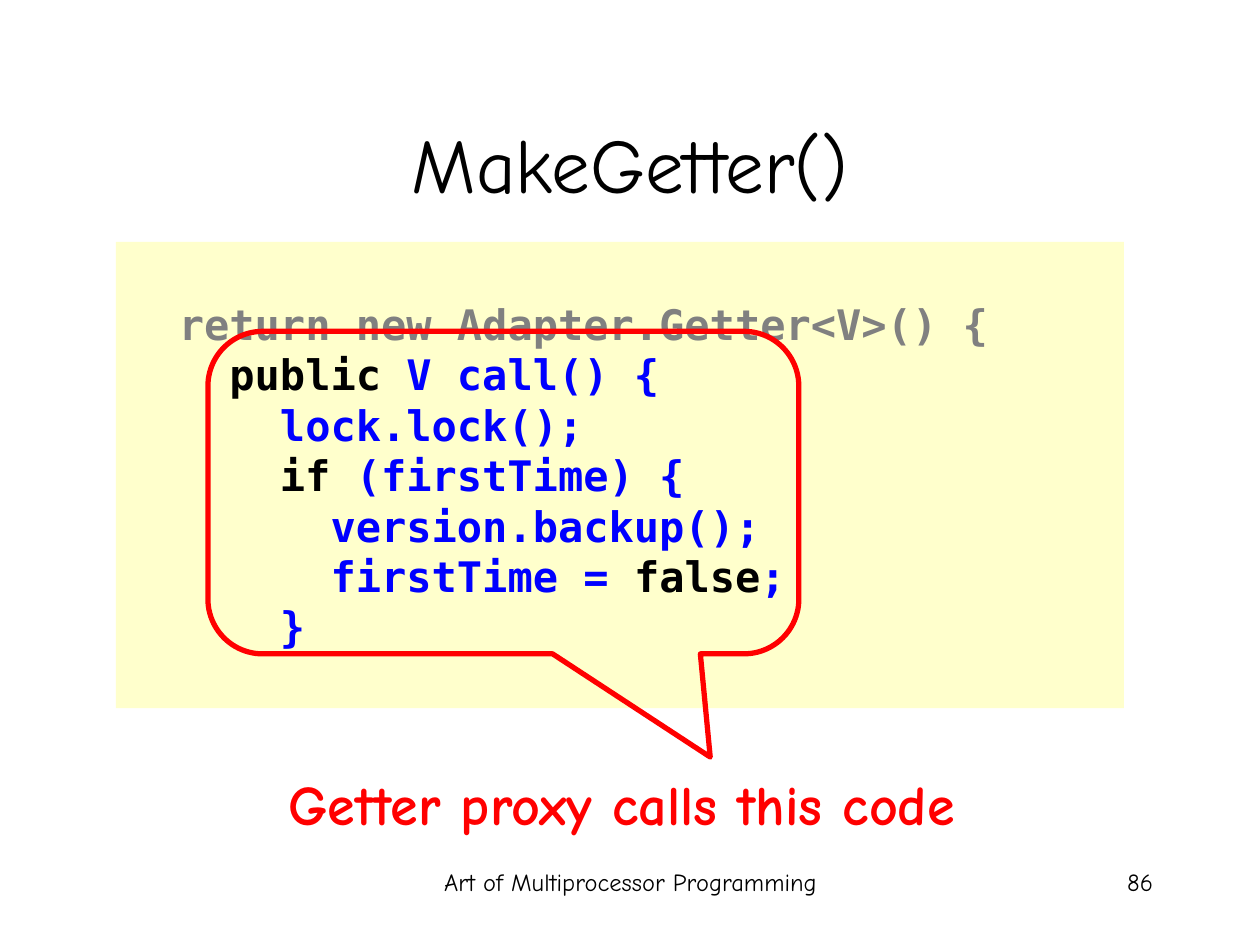
"""Build the MakeGetter() code slide with its callout."""
from pptx import Presentation
from pptx import util as u
from pptx.dml.color import RGBColor
from pptx.enum import shapes, text

HAND, MONO = "Comic Neue", "DejaVu Sans Mono"
BLACK, GREY, BLUE, RED, CREAM = "000000", "808080", "0000FF", "FF0000", "FFFFCC"
CODE = [
    [("  return new Adapter.Getter<V>() {", GREY)],
    [("    ", BLUE), ("public", BLACK), (" V call() {", BLUE)],
    [("      lock.lock();", BLUE)],
    [("      ", BLUE), ("if", BLACK), (" (firstTime) {", BLUE)],
    [("        version.backup();", BLUE)],
    [("        firstTime = ", BLUE), ("false", BLACK), (";", BLUE)],
    [("      }", BLUE)],
]


def color(value):
    """Return the colour for a hex string."""
    return RGBColor.from_string(value)


def inches(*lengths):
    """Convert several lengths to inches."""
    return [u.Inches(length) for length in lengths]


def style(font, face, size, bold=False):
    """Set the face, size and weight of a font."""
    font.name, font.size, font.bold = face, u.Pt(size), bold


def write_line(frame, words, size, hue, align, bold=False):
    """Fill a text frame with one line of handwriting."""
    frame.word_wrap = True
    line = frame.paragraphs[0]
    line.text, line.alignment = words, align
    style(line.font, HAND, size, bold)
    line.font.color.rgb = color(hue)


def add_title(slide, words, box):
    """Place and fill the title placeholder."""
    title = slide.shapes.title
    title.left, title.top, title.width, title.height = inches(*box)
    title.text_frame.vertical_anchor = text.MSO_ANCHOR.MIDDLE
    write_line(title.text_frame, words, 44, BLACK, text.PP_ALIGN.CENTER)


def add_label(slide, words, box, size, hue, align, bold=False):
    """Add a text box with one line."""
    label = slide.shapes.add_textbox(*inches(*box))
    write_line(label.text_frame, words, size, hue, align, bold)


def add_code(slide, lines, box):
    """Add a filled panel with coloured code."""
    panel = slide.shapes.add_shape(shapes.MSO_SHAPE.RECTANGLE, *inches(*box))
    panel.shadow.inherit = False
    panel.fill.solid()
    panel.fill.fore_color.rgb = color(CREAM)
    panel.line.fill.background()
    frame = panel.text_frame
    frame.word_wrap = True
    frame.vertical_anchor = text.MSO_ANCHOR.MIDDLE
    for number, pieces in enumerate(lines):
        line = frame.add_paragraph() if number else frame.paragraphs[0]
        line.alignment = text.PP_ALIGN.LEFT
        style(line.font, MONO, 24, True)
        for words, hue in pieces:
            piece = line.add_run()
            piece.text = words
            piece.font.color.rgb = color(hue)


def add_callout(slide, box, adjustments):
    """Add an unfilled red speech outline."""
    callout = slide.shapes.add_shape(
        shapes.MSO_SHAPE.ROUNDED_RECTANGULAR_CALLOUT, *inches(*box))
    callout.shadow.inherit = False
    callout.fill.background()
    callout.line.color.rgb = color(RED)
    callout.line.width = u.Pt(3)
    for index, value in enumerate(adjustments):
        callout.adjustments[index] = value


def main():
    """Build and save the slide."""
    deck = Presentation()
    deck.slide_width, deck.slide_height = inches(10, 7.5)
    slide = deck.slides.add_slide(deck.slide_layouts[5])
    center, right = text.PP_ALIGN.CENTER, text.PP_ALIGN.RIGHT
    add_code(slide, CODE, (0.92, 1.92, 8, 3.7))
    add_title(slide, "MakeGetter()", (0.75, 0.67, 8.5, 1.25))
    add_callout(slide, (1.65, 2.63, 4.69, 2.56), (0.35, 0.82, 0.17))
    add_label(slide, "Getter proxy calls this code", (1.24, 6.06, 7.39, 0.64),
              32, RED, center, True)
    add_label(slide, "Art of Multiprocessor Programming",
              (3.42, 6.83, 3.17, 0.5), 14, BLACK, center)
    add_label(slide, "86", (7.17, 6.83, 2.08, 0.5), 14, BLACK, right)
    deck.save("out.pptx")


if __name__ == "__main__":
    main()
